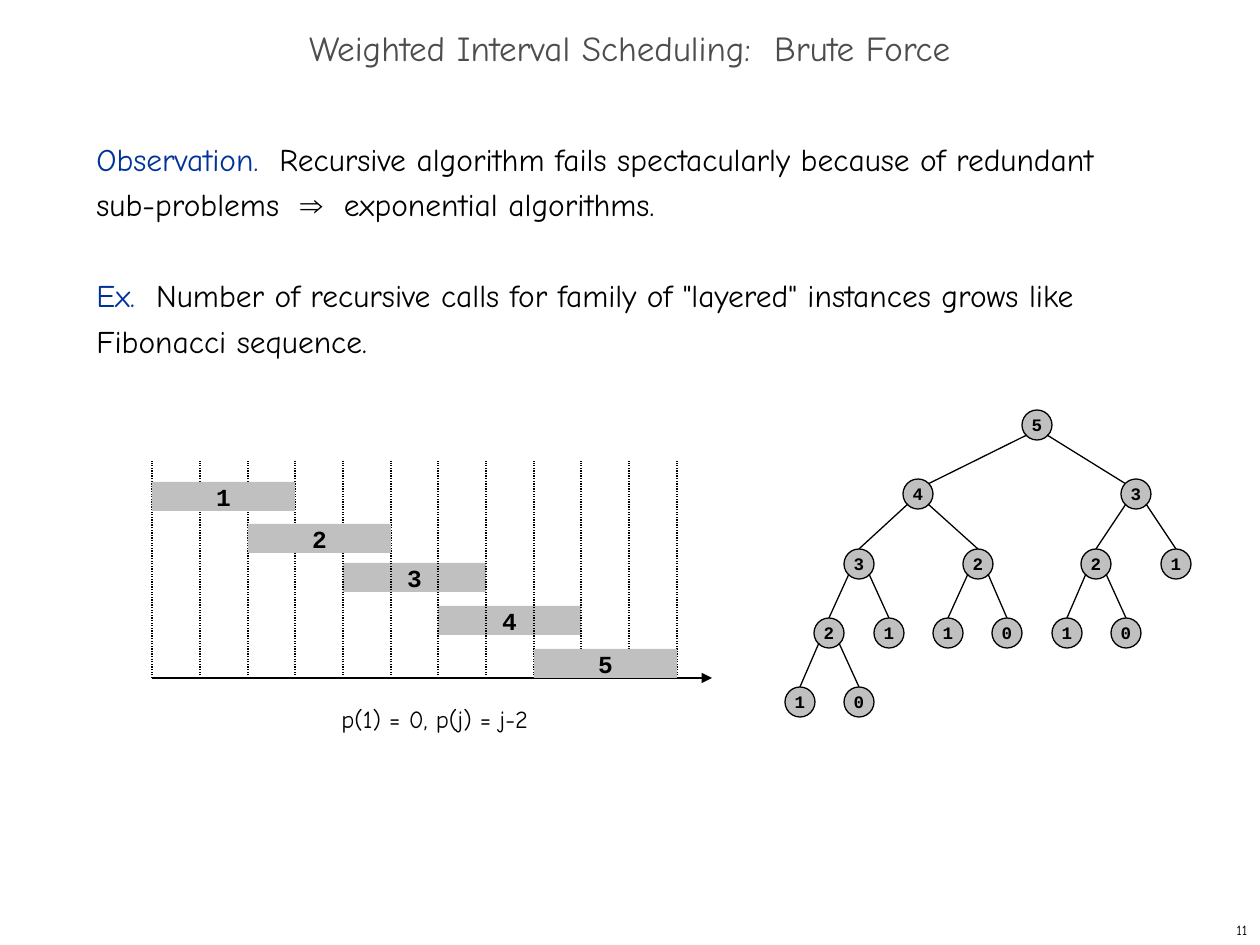
import pptx
import pptx.dml.color
import pptx.enum.dml
import pptx.enum.shapes
import pptx.enum.text
import pptx.oxml
import pptx.oxml.ns
import pptx.util

RGBColor = pptx.dml.color.RGBColor
Align = pptx.enum.text.PP_ALIGN
Anchor = pptx.enum.text.MSO_ANCHOR
Shape = pptx.enum.shapes.MSO_SHAPE

BLACK = RGBColor(0x00, 0x00, 0x00)
GRAY = RGBColor(0xC0, 0xC0, 0xC0)
TITLE_GRAY = RGBColor(0x4D, 0x4D, 0x4D)
BLUE = RGBColor(0x00, 0x33, 0x99)

EMU_PER_PX = 914400 // 126


def px(length):
    return pptx.util.Emu(length * EMU_PER_PX)


class SlideWriter:
    text_font = "Comic Neue"
    label_font = "Courier New"
    line_width = pptx.util.Pt(0.75)

    def __init__(self, slide):
        self.slide = slide

    def run(self, paragraph, text, size, color=BLACK, font=text_font, bold=False):
        run = paragraph.add_run()
        run.text = text
        run.font.size = pptx.util.Pt(size)
        run.font.name = font
        run.font.bold = bold
        run.font.color.rgb = color

    def text(self, box, paragraphs, size, align=Align.LEFT, anchor=Anchor.TOP,
             wrap=True, line_spacing=None, gap=0):
        """Write paragraphs, each a list of (text, color, font) runs."""
        frame = self.slide.shapes.add_textbox(*map(px, box)).text_frame
        frame.word_wrap = wrap
        frame.vertical_anchor = anchor
        for index, runs in enumerate(paragraphs):
            paragraph = frame.add_paragraph() if index else frame.paragraphs[0]
            paragraph.alignment = align
            paragraph.line_spacing = line_spacing
            if index:
                paragraph.space_before = pptx.util.Pt(gap)
            for words, color, font in runs:
                self.run(paragraph, words, size, color, font)

    def label_shape(self, kind, box, label, size, outlined=False):
        shape = self.slide.shapes.add_shape(kind, *map(px, box))
        shape.shadow.inherit = False
        shape.fill.solid()
        shape.fill.fore_color.rgb = GRAY
        if outlined:
            shape.line.color.rgb = BLACK
            shape.line.width = self.line_width
        else:
            shape.line.fill.background()
        frame = shape.text_frame
        frame.word_wrap = False
        frame.vertical_anchor = Anchor.MIDDLE
        frame.paragraphs[0].alignment = Align.CENTER
        self.run(frame.paragraphs[0], label, size, font=self.label_font, bold=True)

    def line(self, start, end, dotted=False, arrow=False):
        connector = self.slide.shapes.add_connector(
            pptx.enum.shapes.MSO_CONNECTOR.STRAIGHT, *map(px, (*start, *end)))
        connector.line.color.rgb = BLACK
        connector.line.width = self.line_width
        if dotted:
            connector.line.dash_style = pptx.enum.dml.MSO_LINE.ROUND_DOT
        if arrow:
            connector.line._get_or_add_ln().append(pptx.oxml.parse_xml(
                f'<a:tailEnd {pptx.oxml.ns.nsdecls("a")} type="triangle"/>'))
        connector._element.spPr.append(pptx.oxml.parse_xml(
            f'<a:effectLst {pptx.oxml.ns.nsdecls("a")}/>'))


AXIS_Y = 678
GRID_TOP = 461
GRID_X = [round(152.5 + 47.64 * step) for step in range(12)]
JOB_TOPS = {1: 482, 2: 524, 3: 563, 4: 606, 5: 649}

RADIUS = 15
DIAGONAL = 10
ROOT_Y = 425
LEVEL_STEP = 69.3

# Each call is (label, center x, child calls).
CALL_TREE = ("5", 1037, [
    ("4", 918, [
        ("3", 859, [
            ("2", 829, [("1", 800, []), ("0", 859, [])]),
            ("1", 889, []),
        ]),
        ("2", 978, [("1", 948, []), ("0", 1007, [])]),
    ]),
    ("3", 1136, [
        ("2", 1096, [("1", 1067, []), ("0", 1126, [])]),
        ("1", 1176, []),
    ]),
])


def draw_job(writer, job):
    """Draw a job three grid steps long, starting two steps after the last."""
    first = 2 * (job - 1)
    left, top = GRID_X[first], JOB_TOPS[job]
    writer.label_shape(Shape.RECTANGLE, (left, top, GRID_X[first + 3] - left, 29),
                       str(job), 14)


def draw_schedule(writer):
    writer.line((GRID_X[0], AXIS_Y), (712, AXIS_Y), arrow=True)
    for job in (3, 4):
        draw_job(writer, job)
    for x in GRID_X:
        writer.line((x, AXIS_Y), (x, GRID_TOP), dotted=True)
    for job in (5, 1, 2):
        draw_job(writer, job)


def draw_calls(writer, call, depth=0):
    label, x, children = call
    y = round(ROOT_Y + LEVEL_STEP * depth)
    writer.label_shape(Shape.OVAL, (x - RADIUS, y - RADIUS, 2 * RADIUS, 2 * RADIUS),
                       label, 10, outlined=True)
    child_y = round(ROOT_Y + LEVEL_STEP * (depth + 1))
    for child in children:
        child_x = child[1]
        side = DIAGONAL if child_x > x else -DIAGONAL
        if depth == 0:
            end = (child_x - side, child_y - DIAGONAL)
        else:
            end = (child_x, child_y - RADIUS)
        writer.line((x + side, y + DIAGONAL), end)
        draw_calls(writer, child, depth + 1)


def main():
    deck = pptx.Presentation()
    deck.slide_width, deck.slide_height = px(1260), px(945)
    writer = SlideWriter(deck.slides.add_slide(deck.slide_layouts[6]))
    body_font = writer.text_font

    writer.text((998, 914, 262, 31), [[("11", BLACK, body_font)]], 8,
                align=Align.RIGHT, anchor=Anchor.MIDDLE, wrap=False)
    writer.text((0, 21, 1260, 63),
                [[("Weighted Interval Scheduling:  Brute Force", TITLE_GRAY, body_font)]],
                20, align=Align.CENTER, anchor=Anchor.MIDDLE, line_spacing=0.7)
    observation = [
        ("Observation.  ", BLUE, body_font),
        ("Recursive algorithm fails spectacularly because of redundant sub-problems  ",
         BLACK, body_font),
        ("⇒", BLACK, "Arial"),
        ("  exponential algorithms.", BLACK, body_font),
    ]
    example = [
        ("Ex.  ", BLUE, body_font),
        ('Number of recursive calls for family of "layered" instances grows like '
         "Fibonacci sequence.", BLACK, body_font),
    ]
    writer.text((84, 126, 1081, 746), [observation, example], 18,
                line_spacing=pptx.util.Pt(26), gap=26)

    draw_schedule(writer)
    writer.text((329, 698, 213, 42), [[("p(1) = 0, p(j) = j-2", BLACK, body_font)]],
                14, wrap=False)
    draw_calls(writer, CALL_TREE)
    deck.save("out.pptx")


if __name__ == "__main__":
    main()
